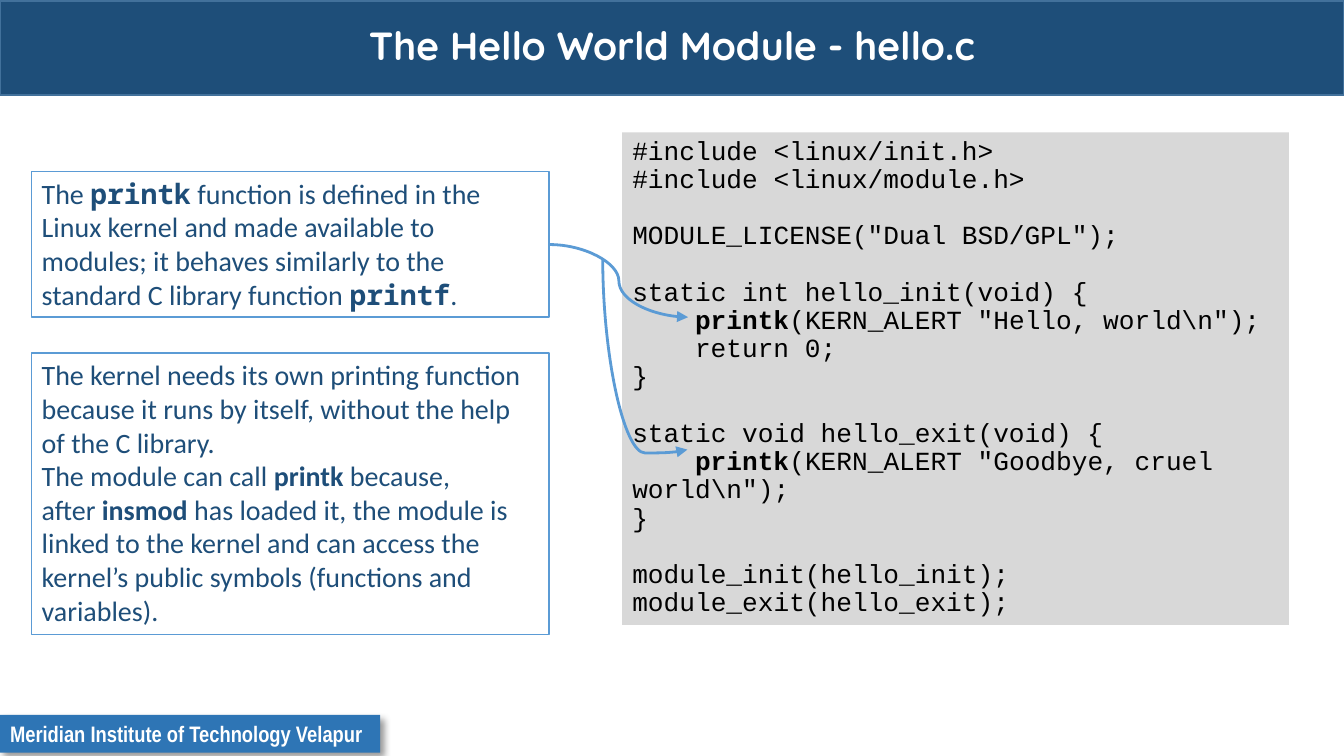
"""Build the slide explaining the Hello World kernel module."""
from dataclasses import dataclass
from typing import Optional

from lxml import etree
from pptx import Presentation
from pptx import util as u
from pptx.dml.color import RGBColor
from pptx.enum import shapes, text
from pptx.oxml.ns import qn

SLIDE_WIDTH = u.Inches(10)
SLIDE_HEIGHT = SLIDE_WIDTH * 9 // 16
COLUMN, ROW = SLIDE_WIDTH / 100, SLIDE_HEIGHT / 56.25
NAVY, BLUE, SKY, GRAY = "1E4E79", "2E75B5", "5B9BD5", "D8D8D8"
WHITE, BLACK, BANNER_EDGE = "FFFFFF", "000000", "42719B"
MONO = "Noto Sans Mono"
CODE_LINE, CODE_INDENT = 15.1, 33.6
HARD_SPACE = chr(160)


@dataclass(frozen=True)
class Area:
    """A rectangle in grid columns and rows."""
    column: float
    row: float
    columns: float
    rows: float

    def lengths(self) -> tuple[int, int, int, int]:
        """Return left, top, width and height in EMU."""
        return (round(self.column * COLUMN), round(self.row * ROW),
                round(self.columns * COLUMN), round(self.rows * ROW))


@dataclass(frozen=True)
class Run:
    """A piece of text with its emphasis; a tilde is a hard space."""
    text: str
    bold: bool = False
    font: Optional[str] = None


@dataclass(frozen=True)
class Line:
    """A paragraph made of runs, with an optional gap above and indent."""
    runs: tuple[Run, ...]
    gap: float = 0
    indent: float = 0
    spacing: Optional[float] = None


@dataclass(frozen=True)
class Panel:
    """A rectangle holding text."""
    area: Area
    lines: tuple[Line, ...]
    font: str
    size: float
    color: str
    fill: Optional[str] = None
    edge: Optional[str] = None


@dataclass(frozen=True)
class Curve:
    """A curved arrow, with its bend and rotation."""
    area: Area
    bend: int
    rotation: int = 0
    flipped: bool = False


def code(source: str, gap: bool = False, indent: bool = False, call: str = "") -> Line:
    """Return a line of code, optionally starting with a bold call."""
    runs = ((Run(call, True),) if call else ()) + (Run(source),)
    return Line(runs, CODE_LINE if gap else 0, CODE_INDENT if indent else 0, 0.9)


TITLE = Panel(Area(0, 0.05, 100, 7.05), (Line((Run("The Hello World Module - hello.c", True),), spacing=0.9),),
              "Quicksand", 21, WHITE, NAVY, BANNER_EDGE)
FOOTER = Panel(Area(0, 53.2, 28.3, 2.8), (Line((Run("Meridian Institute of Technology Velapur", True),)),),
               "Arial Narrow", 12, WHITE, BLUE)
CODE = Panel(Area(46.3, 9.85, 49.6, 36.65), (
    code("#include <linux/init.h>"),
    code("#include <linux/module.h>"),
    code('MODULE_LICENSE("Dual BSD/GPL");', gap=True),
    code("static int hello_init(void) {", gap=True),
    code('(KERN_ALERT "Hello, world\\n");', indent=True, call="printk"),
    code("return 0;", indent=True),
    code("}"),
    code("static void hello_exit(void) {", gap=True),
    code('(KERN_ALERT "Goodbye, cruel world\\n");', indent=True, call="printk"),
    code("}"),
    code("module_init(hello_init);", gap=True),
    code("module_exit(hello_exit);"),
), "Courier New", 14, BLACK, GRAY)
DEFINITION = Panel(Area(2.35, 12.75, 38.5, 10.85), (
    Line((Run("The~"), Run("printk", True, MONO),
          Run("~function is defined in the Linux kernel and made available to modules; "
              "it behaves similarly to the standard C library function~"),
          Run("printf", True, MONO), Run(".~"))),
), "Calibri", 15, NAVY, edge=SKY)
REASON = Panel(Area(2.35, 26.25, 38.5, 20.95), (
    Line((Run("The kernel needs its own printing function because it runs by itself, "
              "without the help of the C library.~"),)),
    Line((Run("The module can call~"), Run("printk", True), Run("~because, after~"),
          Run("insmod~", True),
          Run("has loaded it, the module is linked to the kernel and can access the "
              "kernel’s public symbols (functions and variables)."))),
), "Calibri", 15, NAVY, edge=SKY)
CURVES = (Curve(Area(40.9, 18.2, 10.3, 5.4), 50000),
          Curve(Area(40.9, 23.2, 14.2, 6.3), 101800, 270, True))


def rgb(color: str) -> RGBColor:
    """Convert a hex string to a colour."""
    return RGBColor.from_string(color)


def write_line(paragraph, line: Line, panel: Panel) -> None:
    """Fill a paragraph with the runs of a line."""
    paragraph.space_before = u.Pt(line.gap)
    if line.spacing:
        paragraph.line_spacing = line.spacing
    if line.indent:
        properties = paragraph._p.get_or_add_pPr()
        properties.set("marL", "0")
        properties.set("indent", str(u.Pt(line.indent)))
    for part in line.runs:
        run = paragraph.add_run()
        run.text = part.text.replace("~", HARD_SPACE)
        run.font.name = part.font or panel.font
        run.font.size = u.Pt(panel.size)
        run.font.bold = part.bold
        run.font.color.rgb = rgb(panel.color)


def format_panel(shape, panel: Panel) -> None:
    """Place, paint and fill a text shape."""
    shape.left, shape.top, shape.width, shape.height = panel.area.lengths()
    if panel.fill:
        shape.fill.solid()
        shape.fill.fore_color.rgb = rgb(panel.fill)
    if panel.edge:
        shape.line.color.rgb = rgb(panel.edge)
        shape.line.width = u.Pt(1 if panel.fill else 0.75)
    frame = shape.text_frame
    frame.word_wrap = True
    frame.auto_size = text.MSO_AUTO_SIZE.NONE
    frame.margin_left = frame.margin_right = u.Pt(5.4)
    frame.margin_top = frame.margin_bottom = u.Pt(2.7)
    for index, line in enumerate(panel.lines):
        paragraph = frame.add_paragraph() if index else frame.paragraphs[0]
        write_line(paragraph, line, panel)


def add_panel(slide, panel: Panel):
    """Add a text box for a panel."""
    shape = slide.shapes.add_textbox(*panel.area.lengths())
    format_panel(shape, panel)
    return shape


def add_shadow(shape) -> None:
    """Give a shape a soft shadow to the lower right."""
    effects = etree.SubElement(shape._element.spPr, qn("a:effectLst"))
    shadow = etree.SubElement(effects, qn("a:outerShdw"), blurRad=str(u.Pt(4)),
                              dist=str(u.Pt(3)), dir=str(45 * 60000), algn="tl", rotWithShape="0")
    color = etree.SubElement(shadow, qn("a:srgbClr"), val=BLACK)
    etree.SubElement(color, qn("a:alpha"), val="40000")


def add_curve(slide, curve: Curve) -> None:
    """Add a curved connector ending in an arrowhead."""
    left, top, width, height = curve.area.lengths()
    connector = slide.shapes.add_connector(shapes.MSO_CONNECTOR.CURVE, left, top, left + width, top + height)
    connector.line.color.rgb = rgb(SKY)
    connector.line.width = u.Pt(1.5)
    properties = connector._element.spPr
    etree.SubElement(properties.find(qn("a:ln")), qn("a:tailEnd"), type="triangle")
    etree.SubElement(properties, qn("a:effectLst"))
    frame = properties.find(qn("a:xfrm"))
    frame.set("rot", str(curve.rotation * 60000))
    frame.set("flipH", str(int(curve.flipped)))
    guides = properties.find(qn("a:prstGeom")).find(qn("a:avLst"))
    etree.SubElement(guides, qn("a:gd"), name="adj1", fmla=f"val {curve.bend}")


def main() -> None:
    """Build and save the presentation."""
    presentation = Presentation()
    presentation.slide_width, presentation.slide_height = SLIDE_WIDTH, SLIDE_HEIGHT
    slide = presentation.slides.add_slide(presentation.slide_layouts[5])
    title = slide.shapes.title
    format_panel(title, TITLE)
    title.text_frame.vertical_anchor = text.MSO_ANCHOR.MIDDLE
    title.text_frame.paragraphs[0].alignment = text.PP_ALIGN.CENTER
    add_shadow(add_panel(slide, FOOTER))
    for panel in (CODE, DEFINITION):
        add_panel(slide, panel)
    for curve in CURVES:
        add_curve(slide, curve)
    add_panel(slide, REASON)
    presentation.save("out.pptx")


if __name__ == "__main__":
    main()
